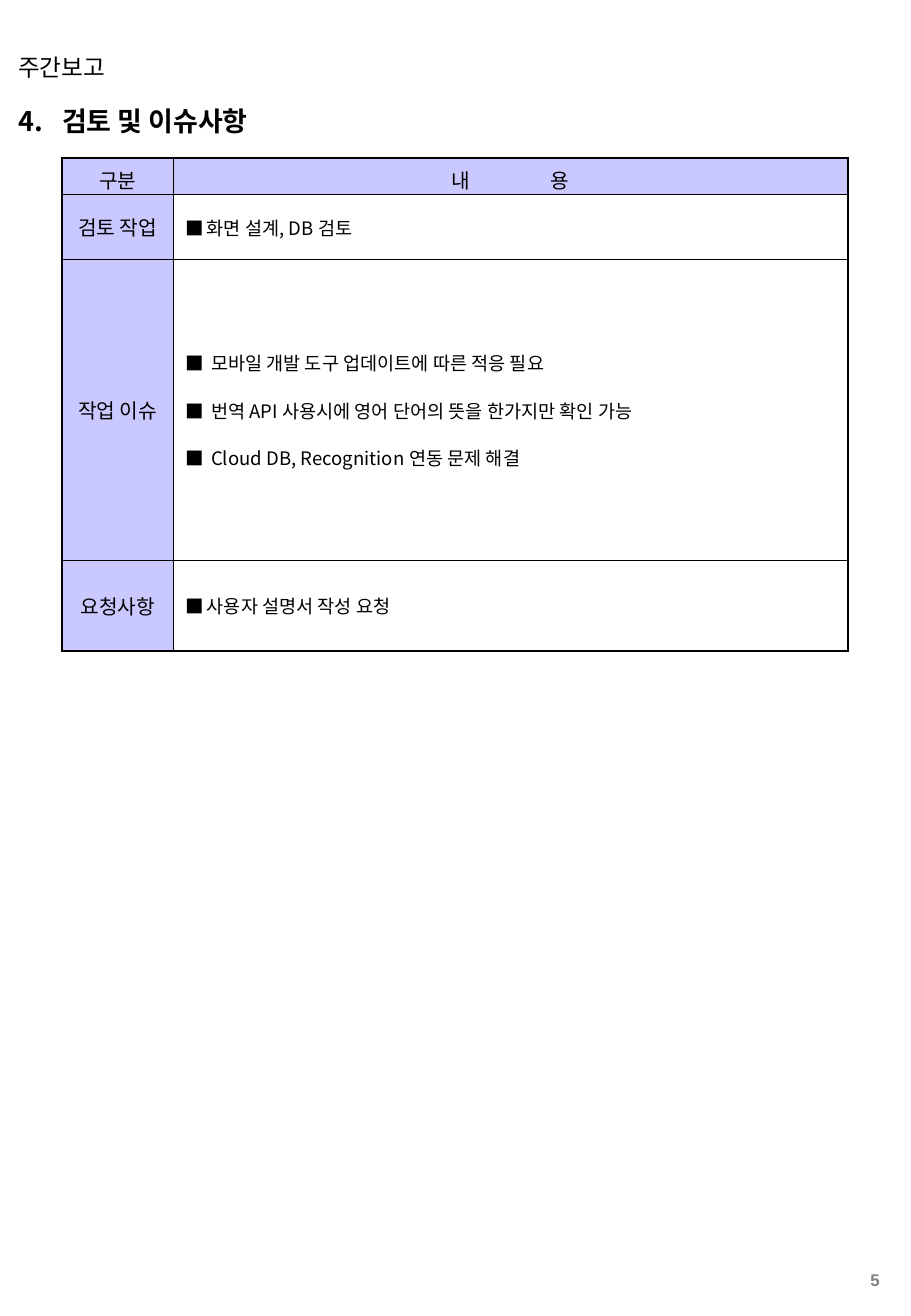
from dataclasses import dataclass

from lxml import etree
from pptx import Presentation
from pptx import util as u
from pptx.dml.color import RGBColor
from pptx.enum import text
from pptx.oxml import ns
from pptx.slide import Slide

COLOURS = {"ink": "000000", "label": "C9C9FF", "number": "808080"}
LATIN, KOREAN = "Arial", "Noto Sans CJK KR"
LEFT, CENTRE, RIGHT = text.PP_ALIGN.LEFT, text.PP_ALIGN.CENTER, text.PP_ALIGN.RIGHT
OUTER, INNER = 1.08, 0.45


def add_child(parent, tag, **attributes):
    child = etree.SubElement(parent, ns.qn(tag))
    for name, value in attributes.items():
        child.set(name, str(value))
    return child


@dataclass
class Report:
    slide: Slide

    def style(self, paragraph, size, colour="ink", bold=False, align=LEFT, font=LATIN):
        paragraph.alignment = align
        for run in paragraph.runs:
            run.font.size = u.Pt(size)
            run.font.bold = bold
            run.font.name = font
            run.font.color.rgb = RGBColor.from_string(COLOURS[colour])
            add_child(run.font._element, "a:ea", typeface=KOREAN)

    def bullet(self, paragraph, indent, font, tag, **attributes):
        properties = paragraph._p.get_or_add_pPr()
        properties.set("marL", str(u.Pt(indent)))
        properties.set("indent", str(-u.Pt(indent)))
        add_child(properties, "a:buFont", typeface=font)
        add_child(properties, tag, **attributes)

    def fill_frame(self, shape, wording):
        frame = shape.text_frame
        frame.word_wrap = True
        frame.auto_size = text.MSO_AUTO_SIZE.NONE
        frame.vertical_anchor = text.MSO_ANCHOR.MIDDLE
        frame.margin_left = frame.margin_right = u.Pt(7.2)
        frame.margin_top = frame.margin_bottom = u.Pt(3.6)
        frame.text = wording
        return frame.paragraphs[0]

    def title(self, wording, number, left, top, width, height):
        shape = self.slide.shapes.title
        shape.left, shape.top = u.Pt(left), u.Pt(top)
        shape.width, shape.height = u.Pt(width), u.Pt(height)
        paragraph = self.fill_frame(shape, wording)
        self.bullet(paragraph, 26, LATIN, "a:buAutoNum", type="arabicPeriod", startAt=number)
        self.style(paragraph, 16, bold=True)

    def label(self, wording, left, top, width, height, size, **look):
        box = self.slide.shapes.add_textbox(u.Pt(left), u.Pt(top), u.Pt(width), u.Pt(height))
        self.style(self.fill_frame(box, wording), size, **look)

    def borders(self, cell, edges):
        properties = cell._tc.get_or_add_tcPr()
        for side, outer in edges.items():
            width = u.Pt(OUTER if outer else INNER)
            line = add_child(properties, f"a:ln{side}", w=width)
            add_child(add_child(line, "a:solidFill"), "a:srgbClr", val=COLOURS["ink"])

    def cell(self, cell, lines, filled, header):
        cell.vertical_anchor = text.MSO_ANCHOR.MIDDLE
        cell.margin_left = cell.margin_right = u.Pt(3.6 if filled else 7.2)
        cell.margin_top = u.Pt(3.6)
        cell.margin_bottom = u.Pt(0 if header else 3.6)
        if filled:
            cell.fill.solid()
            cell.fill.fore_color.rgb = RGBColor.from_string(COLOURS["label"])
        else:
            cell.fill.background()
        cell.text_frame.text = "\n".join(lines)
        for index, paragraph in enumerate(cell.text_frame.paragraphs):
            if filled:
                self.style(paragraph, 12, align=CENTRE)
            else:
                indent = 15 if len(lines) > 1 else 12.5
                self.bullet(paragraph, indent, KOREAN, "a:buChar", char="■")
                self.style(paragraph, 11, font=KOREAN)
                if index:
                    paragraph.space_before = u.Pt(12.2)

    def table(self, rows, left, top, widths, heights):
        frame = self.slide.shapes.add_table(
            len(rows), len(widths), u.Pt(left), u.Pt(top), u.Pt(sum(widths)), u.Pt(sum(heights)))
        table = frame.table
        table.first_row = table.horz_banding = False
        for column, width in zip(table.columns, widths):
            column.width = u.Pt(width)
        last_row, last_column = len(rows) - 1, len(widths) - 1
        for r, (row, height) in enumerate(zip(rows, heights)):
            table.rows[r].height = u.Pt(height)
            for c, lines in enumerate(row):
                cell = table.cell(r, c)
                self.borders(cell, {"L": c == 0, "R": c == last_column,
                                    "T": r == 0, "B": r == last_row})
                self.cell(cell, lines, filled=r == 0 or c == 0, header=r == 0)
        return table

    def spread(self, cell, gap):
        paragraph = cell.text_frame.paragraphs[0]
        first, last = paragraph.text.split()
        paragraph.text = first
        for part in (" ", last):
            paragraph.add_run().text = part
        self.style(paragraph, 12, align=CENTRE)
        paragraph.runs[1].font._element.set("spc", str(gap * 100))


def main():
    presentation = Presentation()
    presentation.slide_width, presentation.slide_height = u.Pt(540), u.Pt(780.48)
    report = Report(presentation.slides.add_slide(presentation.slide_layouts[5]))
    report.label("5", 488.2, 750.2, 40.3, 17.3, 10, colour="number", bold=True, align=RIGHT)
    report.label("주간보고", 3.6, 27.4, 428.4, 24.5, 14)
    rows = [
        (["구분"], ["내 용"]),
        (["검토 작업"], ["화면 설계, DB 검토"]),
        (["작업 이슈"], ["모바일 개발 도구 업데이트에 따른 적응 필요",
                     "번역 API 사용시에 영어 단어의 뜻을 한가지만 확인 가능",
                     "Cloud DB, Recognition 연동 문제 해결"]),
        (["요청사항"], ["사용자 설명서 작성 요청"]),
    ]
    table = report.table(rows, 36.7, 93.6, (66.2, 399.6), (21.9, 38.5, 178.4, 53.8))
    report.spread(table.cell(0, 1), 45)
    report.title("검토 및 이슈사항", 4, 3.6, 58.3, 385.9, 26.6)
    presentation.save("out.pptx")


if __name__ == "__main__":
    main()
